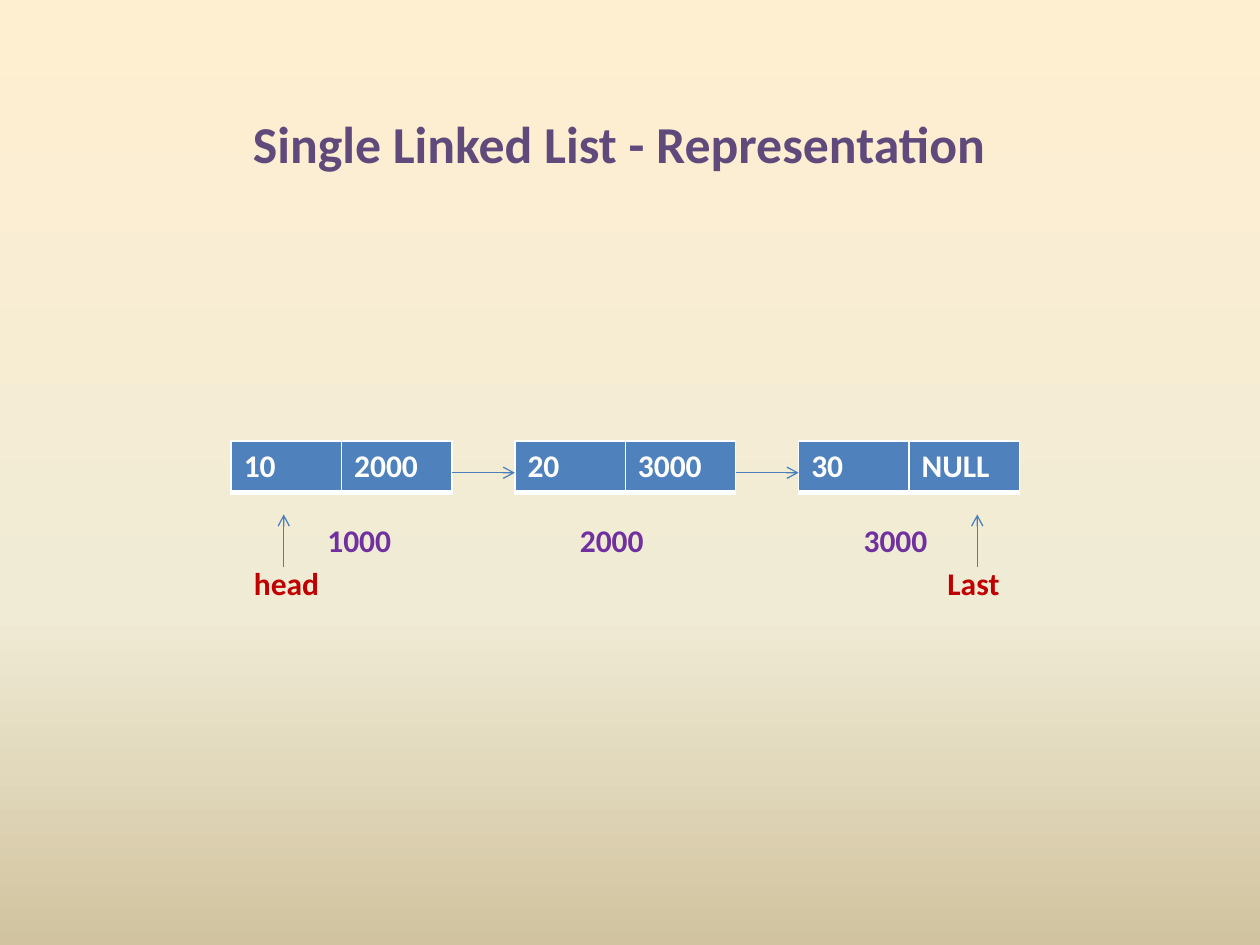
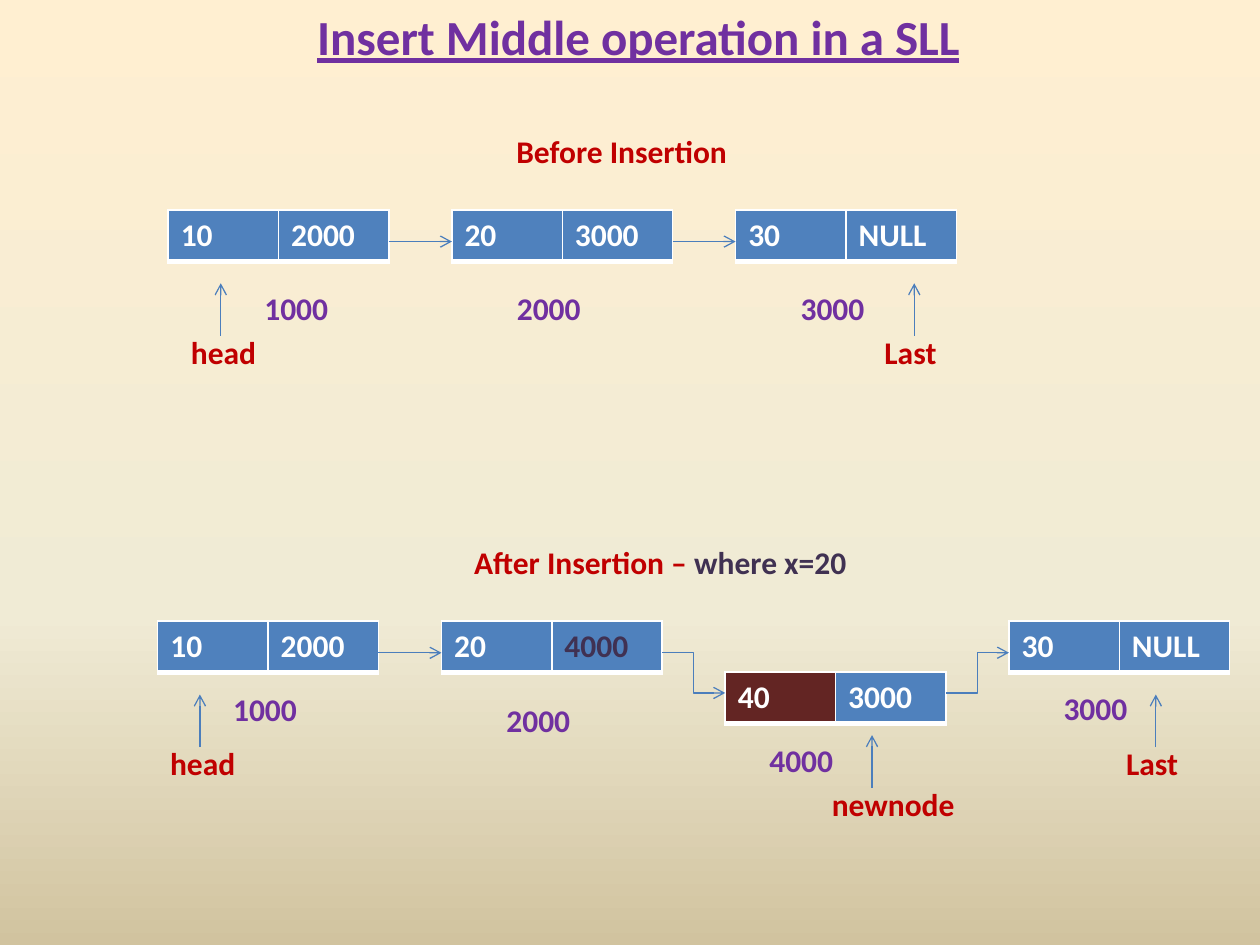
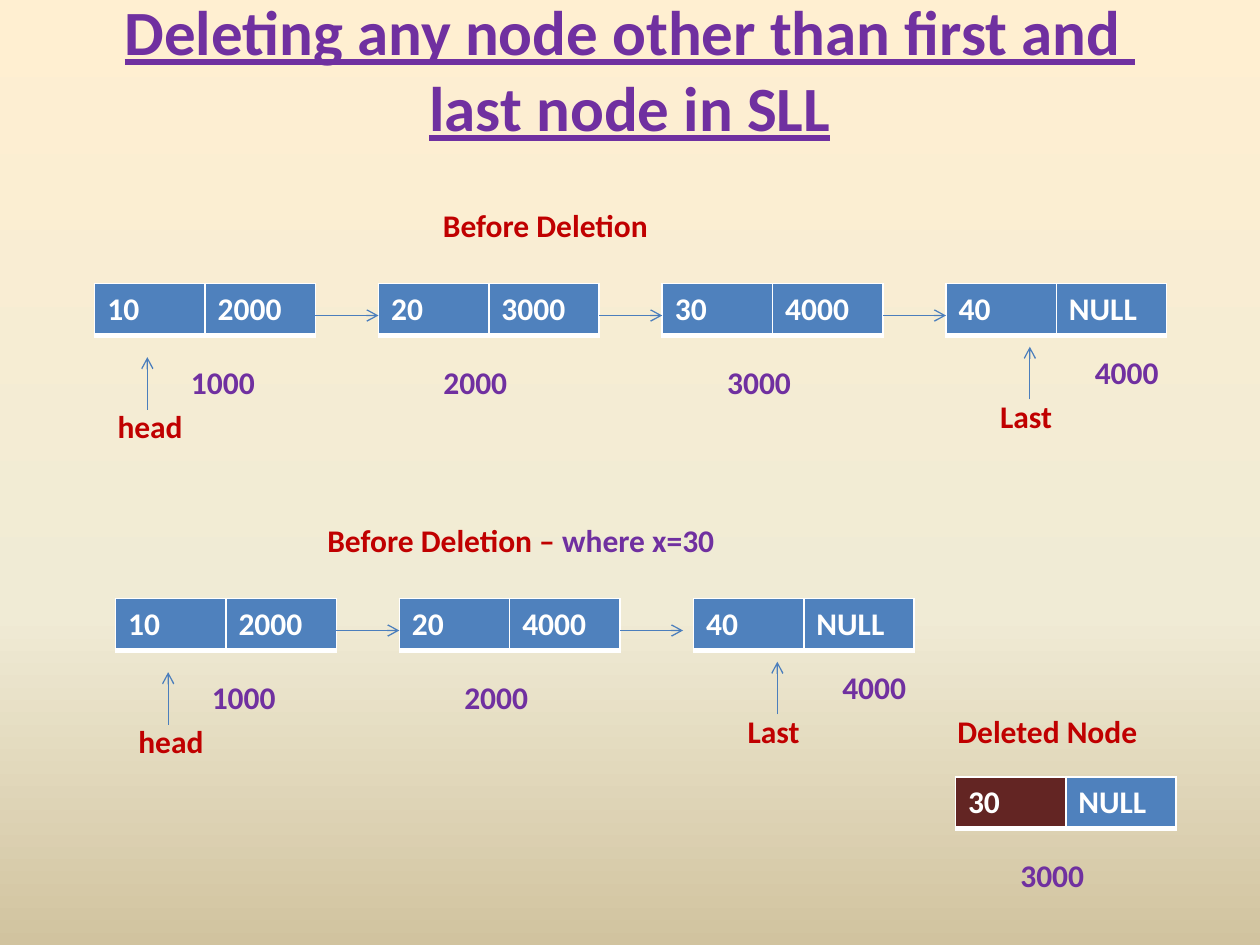
from lxml import etree
from pptx import Presentation
from pptx.dml.color import RGBColor
from pptx.enum.shapes import MSO_CONNECTOR
from pptx.enum.text import MSO_ANCHOR, MSO_AUTO_SIZE, PP_ALIGN
from pptx.oxml.ns import qn
from pptx.util import Cm, Pt

STRAIGHT, ELBOW = MSO_CONNECTOR.STRAIGHT, MSO_CONNECTOR.ELBOW
LEFT, CENTER = PP_ALIGN.LEFT, PP_ALIGN.CENTER
TOP, MIDDLE = MSO_ANCHOR.TOP, MSO_ANCHOR.MIDDLE
NO_FIT, GROW = MSO_AUTO_SIZE.NONE, MSO_AUTO_SIZE.SHAPE_TO_FIT_TEXT

# Shared look
FONT = "Calibri"
BLUE, MAROON, WHITE = "4F81BD", "632523", "FFFFFF"
RED, PURPLE, DARK_PURPLE, MUTED_PURPLE = "C00000", "7030A0", "403152", "604A7B"
ARROW_BLUE = "4B7EBC"
BACKGROUND_STOPS = [(0, "FFEFD1"), (65, "F0EBD5"), (100, "D1C39F")]
CELL_BORDERS = [("a:lnL", 1), ("a:lnR", 1), ("a:lnT", 1), ("a:lnB", 3)]

# Shared measures in cm
NODE_WIDTH, NODE_HEIGHT, NODE_PITCH = 4.45, 1.04, 5.72
LINK_LENGTH, LINK_DROP = 1.27, 0.64
POINTER_LENGTH, POINTER_LABEL_DROP = 1.06, 0.88
LABEL_WIDTH, LABEL_HEIGHT = 2.33, 1.02
POINTER_LABELS = {"head": (0.85, LABEL_WIDTH), "Last": (0.85, LABEL_WIDTH),
                  "newnode": (1.06, 3.39)}  # shift to the left, width

# Node offsets are (x, y) from the node's corner; pointers are (text, x, y)
HEAD = ("head", 1.06, 1.48)
LAST = ("Last", 3.6, 1.48)
LAST_OF_FOUR = ("Last", 1.69, 1.27)
FIRST_NODE = dict(value="10", next="2000", address="1000", address_at=(1.69, 1.48), pointer=HEAD)
SECOND_NODE = dict(value="20", next="3000", address="2000")
END_NODE = dict(value="30", next="NULL", address="3000", pointer=LAST)
END_NODE_40 = dict(value="40", next="NULL", address="4000", address_at=(2.75, 1.27),
                   pointer=LAST_OF_FOUR)
THREE_NODES = [FIRST_NODE, SECOND_NODE, END_NODE]

SLIDES = [
    dict(
        title="Single Linked List - Representation", title_at=(0.64, 2.11, 23.7, 1.52),
        title_size=29.6, title_colour=MUTED_PURPLE, underline=False, align=CENTER, anchor=MIDDLE,
        chains=[dict(at=(4.66, 8.89), nodes=THREE_NODES)],
    ),
    dict(
        title="Insert Middle operation in a SLL", title_at=(6.14, 0, 15.66, 1.45),
        title_size=28, title_colour=PURPLE, underline=True, align=LEFT, anchor=TOP,
        chains=[
            dict(at=(3.39, 4.23), nodes=THREE_NODES,
                 caption=[("Before Insertion", RED)], caption_at=(10.16, 2.54, 5.72)),
            dict(at=(3.18, 12.52),
                 caption=[("After Insertion – ", RED), ("where x=20", DARK_PURPLE)],
                 caption_at=(9.31, 10.82, 10.8),
                 nodes=[
                     dict(FIRST_NODE, address_at=(1.27, 1.27), pointer=("head", 0.85, 1.48)),
                     dict(SECOND_NODE, next="4000", next_colour=DARK_PURPLE),
                     dict(value="40", next="3000", address="4000", address_at=(0.64, 1.27),
                          pointer=("newnode", 2.96, 1.27), fill=MAROON,
                          shift=(0, 1.03), link_drop=0.42),
                     dict(END_NODE, address_at=(0.85, 1.24), pointer=("Last", 2.96, 1.48)),
                 ]),
        ],
    ),
    dict(
        title="Deleting any node other than first and  last node in SLL",
        title_at=(1.27, -0.21, 22.86, 3.18),
        title_size=36, title_colour=PURPLE, underline=True, align=CENTER, anchor=MIDDLE,
        chains=[
            dict(at=(1.91, 5.72),
                 caption=[("Before Deletion", RED)], caption_at=(8.68, 4.02, 5.72),
                 nodes=[FIRST_NODE, SECOND_NODE,
                        dict(value="30", next="4000", address="3000"), END_NODE_40]),
            dict(at=(2.33, 12.07),
                 caption=[("Before Deletion – ", RED), ("where x=30", PURPLE)],
                 caption_at=(6.35, 10.37, 11.22),
                 nodes=[FIRST_NODE, dict(SECOND_NODE, next="4000"),
                        dict(END_NODE_40, shift=(0.21, 0))]),
            dict(at=(19.26, 15.66),
                 caption=[("Deleted Node", RED)], caption_at=(19.05, 14.22, 5.72),
                 nodes=[dict(value="30", next="NULL", address="3000", fill=MAROON)]),
        ],
    ),
]


def rgb(hex_colour):
    return RGBColor.from_string(hex_colour)


def add_run(paragraph, text, colour, size=18, underline=False):
    run = paragraph.add_run()
    run.text = text
    run.font.name = FONT
    run.font.size = Pt(size)
    run.font.bold = True
    run.font.underline = underline
    run.font.color.rgb = rgb(colour)


presentation = Presentation()
presentation.slide_width, presentation.slide_height = Cm(25.4), Cm(19.05)
title_layout = presentation.slide_layouts.get_by_name("Title Only")

# Gradient background on the master
master = presentation.slide_master
background_fill = master.background.fill
background_fill.gradient()
background_fill.gradient_angle = 270
stop_list = master.element.find(".//" + qn("a:gsLst"))
stop_list.clear()
for position, hex_colour in BACKGROUND_STOPS:
    stop = etree.SubElement(stop_list, qn("a:gs"), pos=str(position * 1000))
    etree.SubElement(stop, qn("a:srgbClr"), val=hex_colour)

for content in SLIDES:
    slide = presentation.slides.add_slide(title_layout)

    # Title
    title = slide.shapes.title
    title.left, title.top, title.width, title.height = [Cm(x) for x in content["title_at"]]
    title.text_frame.auto_size = NO_FIT
    title.text_frame.vertical_anchor = content["anchor"]
    paragraph = title.text_frame.paragraphs[0]
    paragraph.alignment = content["align"]
    add_run(paragraph, content["title"], content["title_colour"],
            content["title_size"], content["underline"])

    labels = []  # runs, (left, top, width)
    arrows = []  # kind, start x, start y, end x, end y

    for chain in content["chains"]:
        if "caption" in chain:
            labels.append((chain["caption"], chain["caption_at"]))
        link_start = None

        for column, node in enumerate(chain["nodes"]):
            shift_x, shift_y = node.get("shift", (0, 0))
            left = chain["at"][0] + column * NODE_PITCH + shift_x
            top = chain["at"][1] + shift_y

            # Node with a value cell and a next cell
            table = slide.shapes.add_table(1, 2, Cm(left), Cm(top),
                                           Cm(NODE_WIDTH), Cm(NODE_HEIGHT)).table
            table.first_row = table.horz_banding = False
            cells = [(node["value"], node.get("fill", BLUE), WHITE),
                     (node["next"], BLUE, node.get("next_colour", WHITE))]
            for cell, (text, fill, colour) in zip(table.rows[0].cells, cells):
                properties = cell._tc.get_or_add_tcPr()
                for tag, points in CELL_BORDERS:
                    border = etree.SubElement(properties, qn(tag), w=str(Pt(points)))
                    border_fill = etree.SubElement(border, qn("a:solidFill"))
                    etree.SubElement(border_fill, qn("a:srgbClr"), val=WHITE)
                cell.fill.solid()
                cell.fill.fore_color.rgb = rgb(fill)
                add_run(cell.text_frame.paragraphs[0], text, colour)

            # Link from the node before
            link_y = top + node.get("link_drop", LINK_DROP)
            if link_start:
                start_x, start_y = link_start
                kind = STRAIGHT if start_y == link_y else ELBOW
                arrows.append((kind, start_x, start_y, start_x + LINK_LENGTH, link_y))
            link_start = (left + NODE_WIDTH, link_y)

            # Address below the node
            address_x, address_y = node.get("address_at", (1.06, 1.48))
            labels.append(([(node["address"], PURPLE)],
                           (left + address_x, top + address_y, LABEL_WIDTH)))

            # Named pointer to the node
            if "pointer" in node:
                name, tip_x, tip_y = node["pointer"]
                tip_x, tip_y = left + tip_x, top + tip_y
                label_shift, label_width = POINTER_LABELS[name]
                arrows.append((STRAIGHT, tip_x, tip_y + POINTER_LENGTH, tip_x, tip_y))
                labels.append(([(name, RED)],
                               (tip_x - label_shift, tip_y + POINTER_LABEL_DROP, label_width)))

    # Arrows
    for kind, *ends in arrows:
        connector = slide.shapes.add_connector(kind, *[Cm(end) for end in ends])
        connector.line.color.rgb = rgb(ARROW_BLUE)
        connector.line.width = Pt(0.75)
        etree.SubElement(connector.line._get_or_add_ln(), qn("a:tailEnd"), type="arrow")
        etree.SubElement(connector._element.spPr, qn("a:effectLst"))

    # Labels
    for runs, (left, top, width) in labels:
        label = slide.shapes.add_textbox(Cm(left), Cm(top), Cm(width), Cm(LABEL_HEIGHT))
        label.text_frame.word_wrap = True
        label.text_frame.auto_size = GROW
        for text, colour in runs:
            add_run(label.text_frame.paragraphs[0], text, colour)

presentation.save("out.pptx")
